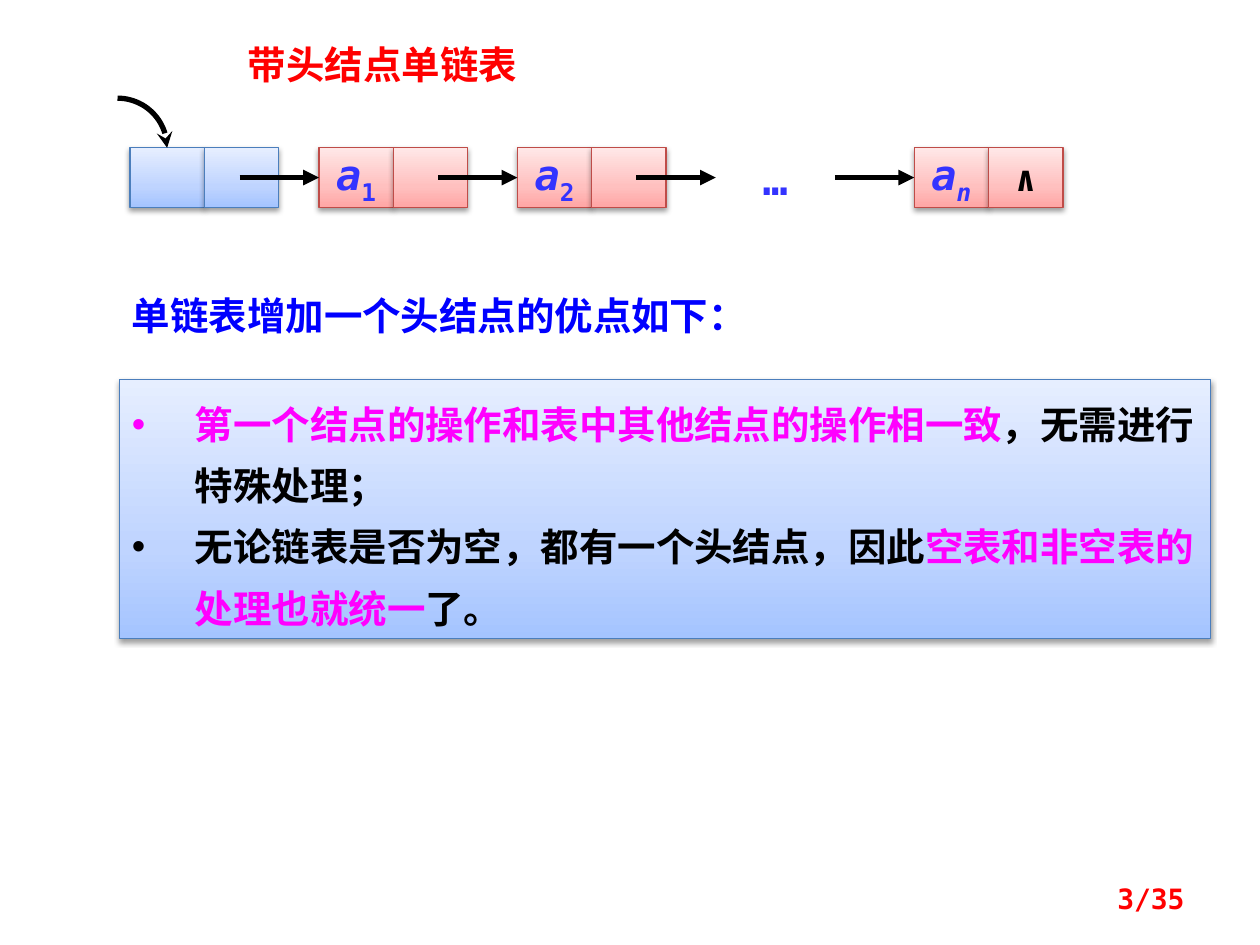
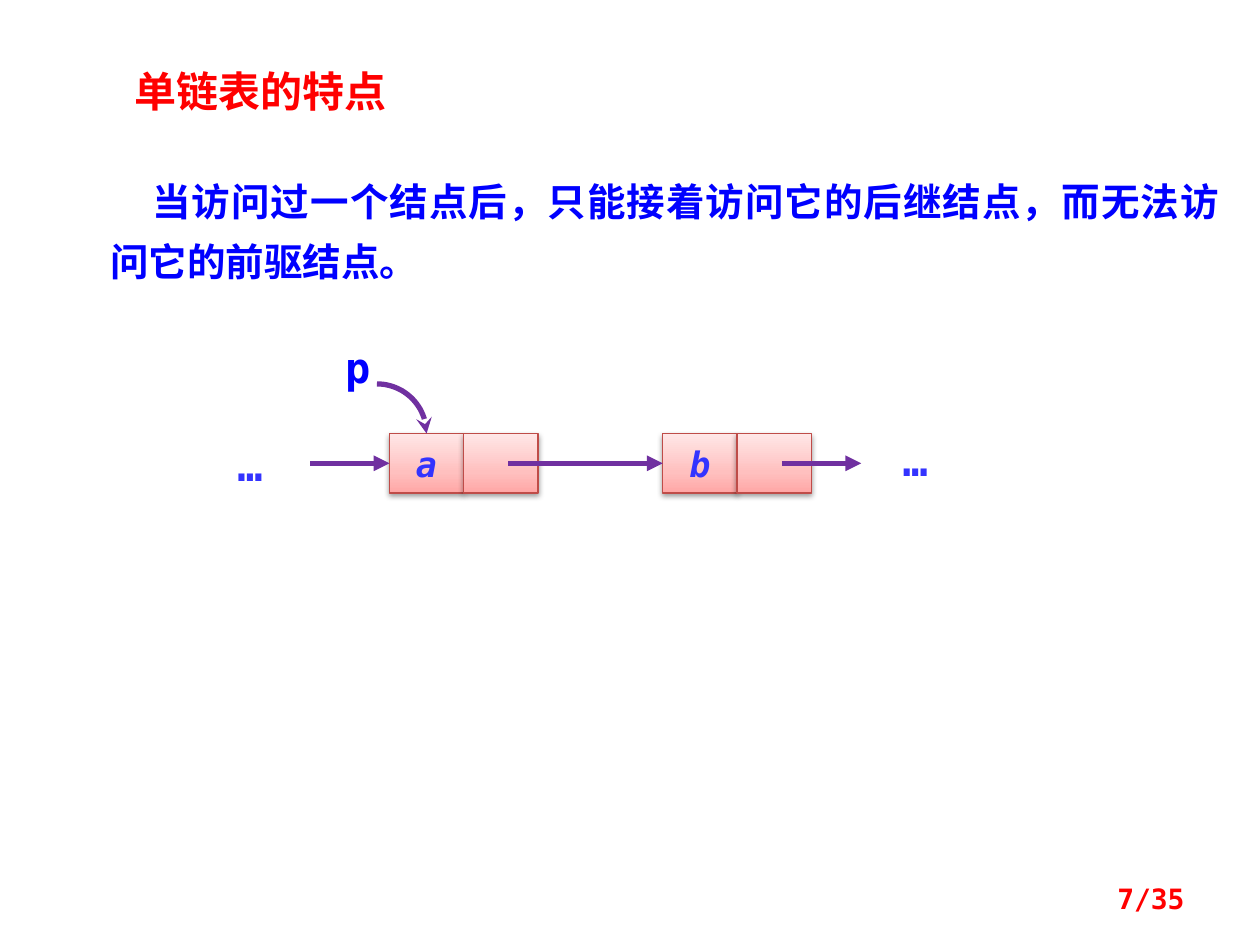
from copy import deepcopy

from lxml import etree
from math import cos, pi, sin
from pptx import Presentation
from pptx import util as u
from pptx.dml.color import RGBColor
from pptx.enum import shapes, text
from pptx.oxml import ns

FONT = "DejaVu Sans Mono"
HUES = {
    "red": "FF0000", "blue": "0000FF", "label": "3333FF",
    "pink": "FF00FF", "black": "000000", "purple": "7030A0",
}
# Each box style: outline, then gradient colours from bottom to top
BOXES = {
    "cool": ("4B7EBC", ("A4C4FF", "BFD4FF", "E6EEFF")),
    "warm": ("BF4C48", ("FFA6A5", "FFC0BF", "FFE7E7")),
}
STOPS = (0, 0.35, 1)
CELL_W, CELL_H = 1.5, 1.2
LINK = 1.6
BEND = 1
CENTER = text.PP_ALIGN.CENTER


def add(parent, tag, **attrs):
    return etree.SubElement(parent, ns.qn(tag), attrs)


class Deck:
    def __init__(self):
        self.prs = Presentation()
        self.prs.slide_width, self.prs.slide_height = u.Cm(25.4), u.Cm(19.05)
        self.slide = None

    def page(self, num):
        self.slide = self.prs.slides.add_slide(self.prs.slide_layouts[6])
        self.label(18.21, 17.65, 5.92, 1.02, f"{num}/35", "red", 16,
                   text.PP_ALIGN.RIGHT)

    # Text
    def run(self, par, words, hue, size, slant=False, sub=False):
        run = par.add_run()
        run.text = words
        font = run.font
        font.name, font.size, font.bold = FONT, u.Pt(size), True
        font.italic = slant
        font.color.rgb = RGBColor.from_string(HUES[hue])
        if sub:
            run._r.get_or_add_rPr().set("baseline", "-25000")

    def label(self, x, y, w, h, words, hue, size=22, align=None):
        frame = self.slide.shapes.add_textbox(
            u.Cm(x), u.Cm(y), u.Cm(w), u.Cm(h)).text_frame
        frame.word_wrap = True
        par = frame.paragraphs[0]
        par.alignment = align
        self.run(par, words, hue, size)
        return par

    def dots(self, x, y):
        self.label(x, y, 1.6, 1.27, "…", "label", 24, CENTER)

    # Shaded boxes
    def box(self, x, y, w, h, style):
        box = self.slide.shapes.add_shape(
            shapes.MSO_SHAPE.RECTANGLE, u.Cm(x), u.Cm(y), u.Cm(w), u.Cm(h))
        edge, shades = BOXES[style]
        box.line.color.rgb = RGBColor.from_string(edge)
        box.line.width = u.Pt(0.75)
        box.fill.gradient()
        box.fill.gradient_angle = 90
        first = box._element.spPr.find(".//" + ns.qn("a:gs"))
        first.addnext(deepcopy(first))
        for stop, spot, shade in zip(box.fill.gradient_stops, STOPS, shades):
            stop.position = spot
            stop.color.rgb = RGBColor.from_string(shade)
        box.shadow.inherit = False
        glow = add(box._element.spPr.find(ns.qn("a:effectLst")),
                   "a:outerShdw", blurRad="40000", dist="20000",
                   dir="5400000", rotWithShape="0")
        tint = add(glow, "a:srgbClr", val=HUES["black"])
        add(tint, "a:alpha", val="38000")
        return box

    def node(self, x, y, style="warm", name="", sub="", size=24, end=""):
        data, link = [self.box(x + i * CELL_W, y, CELL_W, CELL_H, style)
                      for i in range(2)]
        for cell in data, link:
            cell.text_frame.word_wrap = False
            cell.text_frame.paragraphs[0].alignment = CENTER
        par = data.text_frame.paragraphs[0]
        if name:
            self.run(par, name, "label", size, slant=True)
        if sub:
            self.run(par, sub, "label", size, slant=sub.isalpha(), sub=True)
        if end:
            self.run(link.text_frame.paragraphs[0], end, "black", 20)
        return data

    def panel(self, x, y, w, h, items):
        frame = self.box(x, y, w, h, "cool").text_frame
        frame.word_wrap = True
        frame.vertical_anchor = text.MSO_ANCHOR.TOP
        for i, item in enumerate(items):
            par = frame.add_paragraph() if i else frame.paragraphs[0]
            par.alignment = text.PP_ALIGN.LEFT
            par.line_spacing = u.Pt(35)
            props = par._p.get_or_add_pPr()
            props.set("marL", str(u.Cm(1.27)))
            props.set("indent", str(u.Cm(-1.27)))
            add(props, "a:buFont", typeface="Arial")
            add(props, "a:buChar", char="•")
            for words, hue in item:
                self.run(par, words, hue, 22)

    # Arrows
    def ink(self, line, hue, head):
        line.color.rgb = RGBColor.from_string(HUES[hue])
        line.width = u.Pt(3)
        add(line._get_or_add_ln(), "a:tailEnd", type=head)

    def arrow(self, x, end, y, hue, cell=None):
        link = self.slide.shapes.add_connector(
            shapes.MSO_CONNECTOR.STRAIGHT,
            u.Cm(x), u.Cm(y), u.Cm(end), u.Cm(y))
        if cell is not None:
            link.end_connect(cell, 1)
        self.ink(link.line, hue, "triangle")
        add(link._element.spPr, "a:effectLst")

    def hook(self, x, y, hue):
        """Quarter turn that comes down onto (x, y)."""
        turns = [i * pi / 48 for i in range(25)]
        dots = [(u.Cm(x - BEND + BEND * sin(t)),
                 u.Cm(y - BEND * cos(t))) for t in turns]
        draft = self.slide.shapes.build_freeform(*dots[0])
        draft.add_line_segments(dots[1:], close=False)
        bend = draft.convert_to_shape()
        bend.fill.background()
        bend.shadow.inherit = False
        self.ink(bend.line, hue, "stealth")


def header(deck):
    deck.page(3)
    deck.label(4.75, 0.71, 6.76, 1.19, "带头结点单链表", "red")

    # List with a head node
    top, first, pitch = 2.98, 6.43, 4
    mid = top + CELL_H / 2
    head = 2.62
    deck.node(head, top, "cool")
    cells = {}
    for slot, sub, end in (0, "1", ""), (1, "2", ""), (3, "n", "∧"):
        cells[slot] = deck.node(first + slot * pitch, top,
                                name="a", sub=sub, end=end)
    deck.dots(14.83, top)
    deck.hook(head + CELL_W / 2, top, "black")
    for slot in range(4):
        x = first + slot * pitch
        deck.arrow(x - LINK, x, mid, "black", cells.get(slot))

    # Benefits
    deck.label(2.41, 5.77, 13.79, 1.19,
               "单链表增加一个头结点的优点如下：", "blue")
    deck.panel(2.41, 7.65, 22, 5.23, [
        [("第一个结点的操作和表中其他结点的操作相一致", "pink"),
         ("，无需进行特殊处理；", "black")],
        [("无论链表是否为空，都有一个头结点，因此", "black"),
         ("空表和非空表的处理也就统一", "pink"),
         ("了。", "black")],
    ])


def traits(deck):
    deck.page(7)
    deck.label(1.78, 1.19, 6.93, 1.27, "单链表的特点", "red", 24, CENTER)
    par = deck.label(
        1.98, 3.18, 22.86, 2.69,
        "当访问过一个结点后，只能接着访问它的后继结点，而无法访问它的前驱结点。",
        "blue", align=text.PP_ALIGN.JUSTIFY)
    par.line_spacing = 1.3
    par._p.get_or_add_pPr().set("indent", str(u.Cm(0.84)))

    # Two neighbours and the pointer p
    top, left, right = 8.74, 7.85, 13.36
    mid = top + CELL_H / 2
    here = deck.node(left, top, name="a", size=20)
    after = deck.node(right, top, name="b", size=20)
    deck.dots(4.24, top)
    deck.dots(17.65, 8.64)
    deck.label(6.71, 6.76, 1.19, 1.27, "p", "blue", 24)
    deck.hook(left + CELL_W / 2, top, "purple")
    deck.arrow(left - LINK, left, mid, "purple", here)
    deck.arrow(left + 2.4, right, mid, "purple", after)
    deck.arrow(right + 2.4, right + 2.4 + LINK, mid, "purple")


def main():
    deck = Deck()
    header(deck)
    traits(deck)
    deck.prs.save("out.pptx")


if __name__ == "__main__":
    main()
